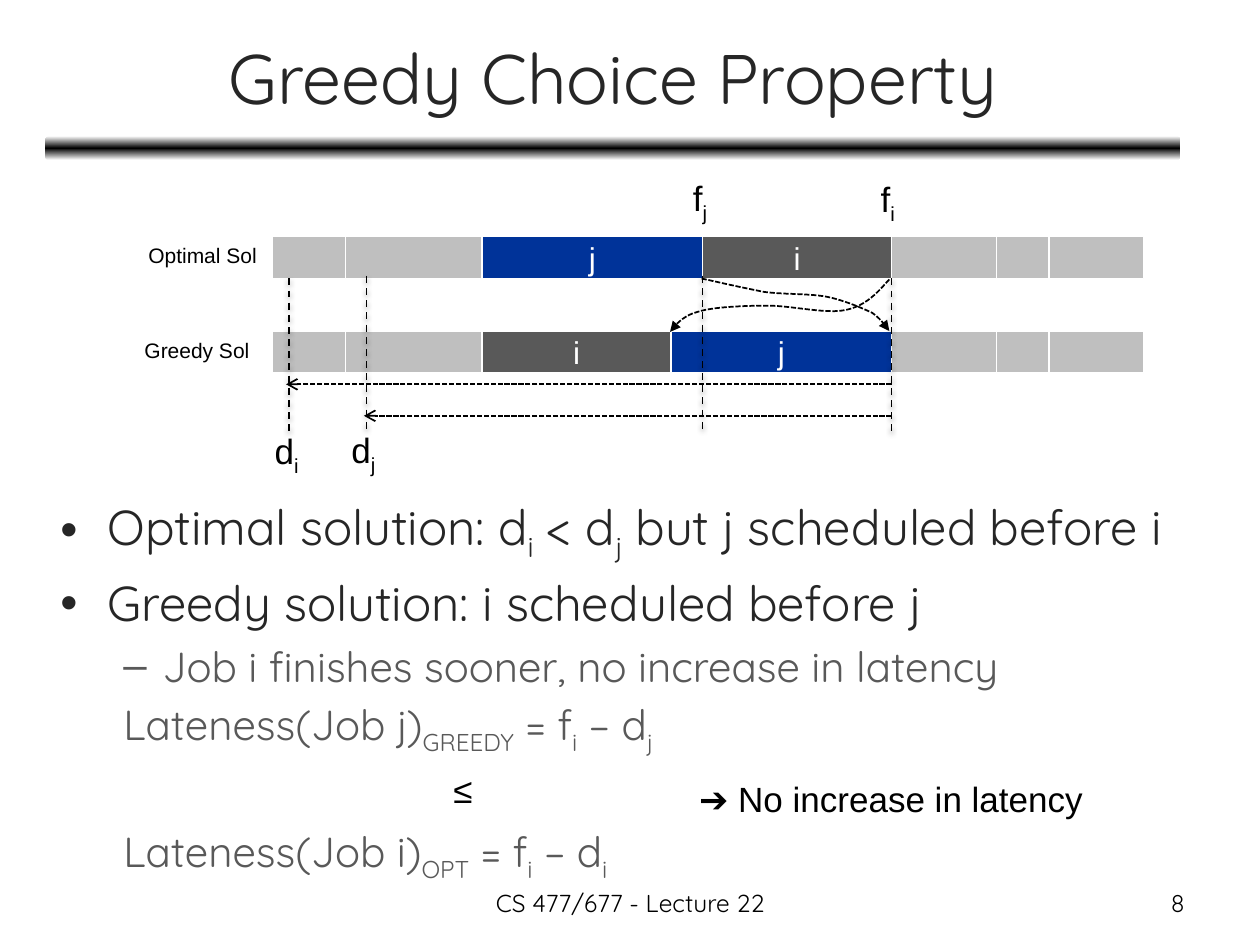
from pptx import Presentation
from pptx.dml.color import RGBColor
from pptx.enum.dml import MSO_LINE
from pptx.enum.shapes import MSO_CONNECTOR, MSO_SHAPE
from pptx.enum.text import MSO_ANCHOR, PP_ALIGN
from pptx.oxml import parse_xml
from pptx.oxml.ns import nsdecls
from pptx.util import Pt

BLACK = RGBColor(0x00, 0x00, 0x00)
WHITE = RGBColor(0xFF, 0xFF, 0xFF)
INK = RGBColor(0x26, 0x26, 0x26)
DARK_GREY = RGBColor(0x59, 0x59, 0x59)
LIGHT_GREY = RGBColor(0xBF, 0xBF, 0xBF)
BLUE = RGBColor(0x00, 0x33, 0x99)

LEFT, CENTER, RIGHT = PP_ALIGN.LEFT, PP_ALIGN.CENTER, PP_ALIGN.RIGHT
TOP, MIDDLE = MSO_ANCHOR.TOP, MSO_ANCHOR.MIDDLE
DASH, SHORT_DASH = MSO_LINE.DASH, MSO_LINE.SQUARE_DOT
RECTANGLE, ROUNDED = MSO_SHAPE.RECTANGLE, MSO_SHAPE.ROUNDED_RECTANGLE
STRAIGHT = MSO_CONNECTOR.STRAIGHT

TITLE = {"size": Pt(40), "name": "Quicksand", "color": INK}
POINT = {"size": Pt(28), "name": "Quicksand", "color": INK}
DETAIL = {"size": Pt(24), "name": "Quicksand", "color": DARK_GREY}
FOOTER = {"size": Pt(14), "name": "Quicksand", "color": BLACK}
MARK = {"size": Pt(20), "name": "Arial", "color": BLACK}
ROW_LABEL = {"size": Pt(12), "name": "Arial", "color": BLACK}
JOB = {"size": Pt(18), "name": "Arial", "color": WHITE}

# Job widths and colours
JOBS = {"i": (108, DARK_GREY), "j": (126, BLUE)}
BEFORE, AFTER = (42, 78), (60, 30, 54)
BAR_HEIGHT = 24


def write(para, text, style):
    """Fill a paragraph; every second piece between bars is a subscript."""
    for index, piece in enumerate(text.split("|")):
        if not piece:
            continue
        span = para.add_run()
        span.text = piece
        for key, value in style.items():
            if key == "color":
                span.font.color.rgb = value
            else:
                setattr(span.font, key, value)
        if index % 2:
            span.font._element.set("baseline", "-25000")


def add_text(page, box, text, style, align=LEFT, anchor=TOP, wrap=False):
    frame = page.shapes.add_textbox(*map(Pt, box)).text_frame
    frame.word_wrap, frame.vertical_anchor = wrap, anchor
    frame.paragraphs[0].alignment = align
    write(frame.paragraphs[0], text, style)
    return frame


def set_line(shape, dash, head=None):
    shape.line.color.rgb = BLACK
    shape.line.width = Pt(1)
    shape.line.dash_style = dash
    if head:
        shape.line._get_or_add_ln().append(
            parse_xml(f'<a:tailEnd {nsdecls("a")} type="{head}"/>'))


def add_line(page, start, end, dash, head=None, shadow=""):
    line = page.shapes.add_connector(STRAIGHT, *map(Pt, start + end))
    set_line(line, dash, head)
    line._element.spPr.append(
        parse_xml(f'<a:effectLst {nsdecls("a")}>{shadow}</a:effectLst>'))


def add_curve(page, points):
    """Draw a chain of cubic curves: a start, then three points for each."""
    trail = [points[0]]
    for first in range(0, len(points) - 1, 3):
        corners = points[first:first + 4]
        for step in range(1, 13):
            t = step / 12
            weights = ((1 - t) ** 3, 3 * t * (1 - t) ** 2, 3 * t * t * (1 - t), t ** 3)
            trail.append(tuple(sum(w * corner[axis] for w, corner in zip(weights, corners))
                               for axis in (0, 1)))
    trail = [(x * 100, y * 100) for x, y in trail]
    builder = page.shapes.build_freeform(*trail[0], scale=Pt(1) / 100)
    builder.add_line_segments(trail[1:], close=False)
    curve = builder.convert_to_shape()
    curve.shadow.inherit = False
    curve.fill.background()
    set_line(curve, SHORT_DASH, "triangle")


def add_header(page, box):
    left, top, width, height = box
    add_text(page, (left, top, width, 71), "Greedy Choice Property", TITLE,
             CENTER, MIDDLE, True)
    # Rule that fades to white above and below
    rule = page.shapes.add_shape(ROUNDED, Pt(left), Pt(top + height - 13.7),
                                 Pt(width), Pt(13.7))
    rule.shadow.inherit = False
    rule.line.fill.background()
    stops = "".join(f'<a:gs pos="{place}"><a:srgbClr val="{color}"/></a:gs>'
                    for place, color in ((0, WHITE), (50000, BLACK), (100000, WHITE)))
    rule._element.spPr.insert(2, parse_xml(
        f'<a:gradFill {nsdecls("a")}><a:gsLst>{stops}</a:gsLst>'
        '<a:lin ang="5400000" scaled="0"/></a:gradFill>'))


def add_schedule(page, left, top, order):
    blocks = ([(width, LIGHT_GREY, "") for width in BEFORE]
              + [(*JOBS[name], name) for name in order]
              + [(width, LIGHT_GREY, "") for width in AFTER])
    for width, color, name in blocks:
        block = page.shapes.add_shape(RECTANGLE, Pt(left), Pt(top), Pt(width), Pt(BAR_HEIGHT))
        block.shadow.inherit = False
        block.fill.solid()
        block.fill.fore_color.rgb = color
        block.line.color.rgb = WHITE
        block.line.width = Pt(0.75)
        if name:
            frame = block.text_frame
            frame.word_wrap, frame.vertical_anchor = False, MIDDLE
            frame.paragraphs[0].alignment = CENTER
            write(frame.paragraphs[0], name, JOB)
        left += width


def add_diagram(page, box):
    left, top, width, height = box
    upper, lower = top + 38, top + 92
    bars = left + 80
    add_schedule(page, bars, upper, "ji")
    add_schedule(page, bars, lower, "ij")
    add_text(page, (left + 2.2, upper, 77, 22), "Optimal Sol", ROW_LABEL)
    add_text(page, (left, lower, 80, 22), "Greedy Sol", ROW_LABEL)

    # Finish times and due times
    start = bars + sum(BEFORE)
    finish_j = start + JOBS["j"][0]
    finish_i = finish_j + JOBS["i"][0]
    due_i, due_j = bars + 9.5, bars + 54
    shadow = ('<a:outerShdw blurRad="39370" dist="20320" dir="5400000" rotWithShape="0">'
              '<a:srgbClr val="000000"><a:alpha val="38000"/></a:srgbClr></a:outerShdw>')
    for x, shift in ((finish_j, 0), (finish_i, 1.4), (due_i, 1.4), (due_j, 0)):
        add_line(page, (x, top + 60.5 + shift), (x, top + 149 + shift), DASH, shadow=shadow)
    for x, y, name in ((finish_j - 12.7, top, "f|j"), (finish_i - 13.4, top + 0.7, "f|i"),
                       (due_j - 15.8, top + 144, "d|j"), (due_i - 15.2, top + 144.7, "d|i")):
        add_text(page, (x, y, 28.8 if name[0] == "d" else 23, 31.7), name, MARK)

    # Jobs i and j trade places
    x, y = finish_i - 1.3, upper + 24.5
    swaps = (
        [(0, 0), (-6.5, 7.2), (-13, 15), (-25, 17.5), (-36.7, 20), (-57.6, 14.5),
         (-72, 15), (-85.7, 15.2), (-101.5, 15.8), (-110, 18.7), (-119.5, 21),
         (-125.3, 30), (-125.3, 30)],
        [(-107.3, -0.5), (-95, 2.2), (-82.8, 5), (-71.3, 7.2), (-59, 8.7), (-45.4, 8),
         (-35.3, 10), (-25.2, 12.2), (-16.6, 16), (-10, 19), (-4.3, 22.8), (0, 29.5), (0, 29.5)],
    )
    for swap in swaps:
        add_curve(page, [(x + across, y + down) for across, down in swap])

    # Lateness spans
    for due, y in ((due_j, top + 140.4), (due_i, top + 122.4)):
        add_line(page, (finish_i, y), (due - 1.5, y), SHORT_DASH, "arrow")


def add_points(page, box):
    # Text, style, bullet, left margin, first-line indent, space before
    rows = (
        ("Optimal solution: d|i| < d|j| but j scheduled before i", POINT, "•", 27, -27, 0),
        ("Greedy solution: i scheduled before j", POINT, "•", 27, -27, 5.6),
        ("Job i finishes sooner, no increase in latency", DETAIL, "–", 58.5, -22.5, 4.8),
        ("Lateness(Job j)|GREEDY| = f|i| – d|j", DETAIL, None, 36, 0, 4.8),
        ("Lateness(Job i)|OPT| = f|i| – d|i", DETAIL, None, 36, 0, 39.6),
    )
    frame = add_text(page, box, "", POINT, wrap=True)
    for index, (text, style, bullet, margin, indent, before) in enumerate(rows):
        para = frame.add_paragraph() if index else frame.paragraphs[0]
        para.space_before = Pt(before)
        write(para, text, style)
        layout = para._p.get_or_add_pPr()
        layout.set("marL", str(Pt(margin)))
        layout.set("indent", str(Pt(indent)))
        if bullet:
            layout.append(parse_xml(f'<a:buFont {nsdecls("a")} typeface="Arial"/>'))
            layout.append(parse_xml(f'<a:buChar {nsdecls("a")} char="{bullet}"/>'))
    # Comparison of the two lateness values
    left, top = box[:2]
    add_text(page, (left + 224.6, top + 155.5, 26, 31.7), "≤", MARK)
    add_text(page, (left + 365, top + 160.6, 240.5, 31.7), "➔ No increase in latency", MARK)


def add_footer(page, box):
    left, top, width, height = box
    add_text(page, (left, top, 228, height), "CS 477/677 - Lecture 22", FOOTER, CENTER, wrap=True)
    add_text(page, (left + width - 168, top, 168, height), "8", FOOTER, RIGHT, wrap=True)


def main():
    deck = Presentation()
    deck.slide_width, deck.slide_height = Pt(720), Pt(540)
    page = deck.slides.add_slide(deck.slide_layouts[6])
    add_header(page, (26, 8, 648.5, 83.5))
    add_points(page, (27.4, 280, 700, 215))
    add_diagram(page, (75.5, 97.2, 580, 176))
    add_footer(page, (246.2, 504, 437.8, 25))
    deck.save("out.pptx")


if __name__ == "__main__":
    main()
